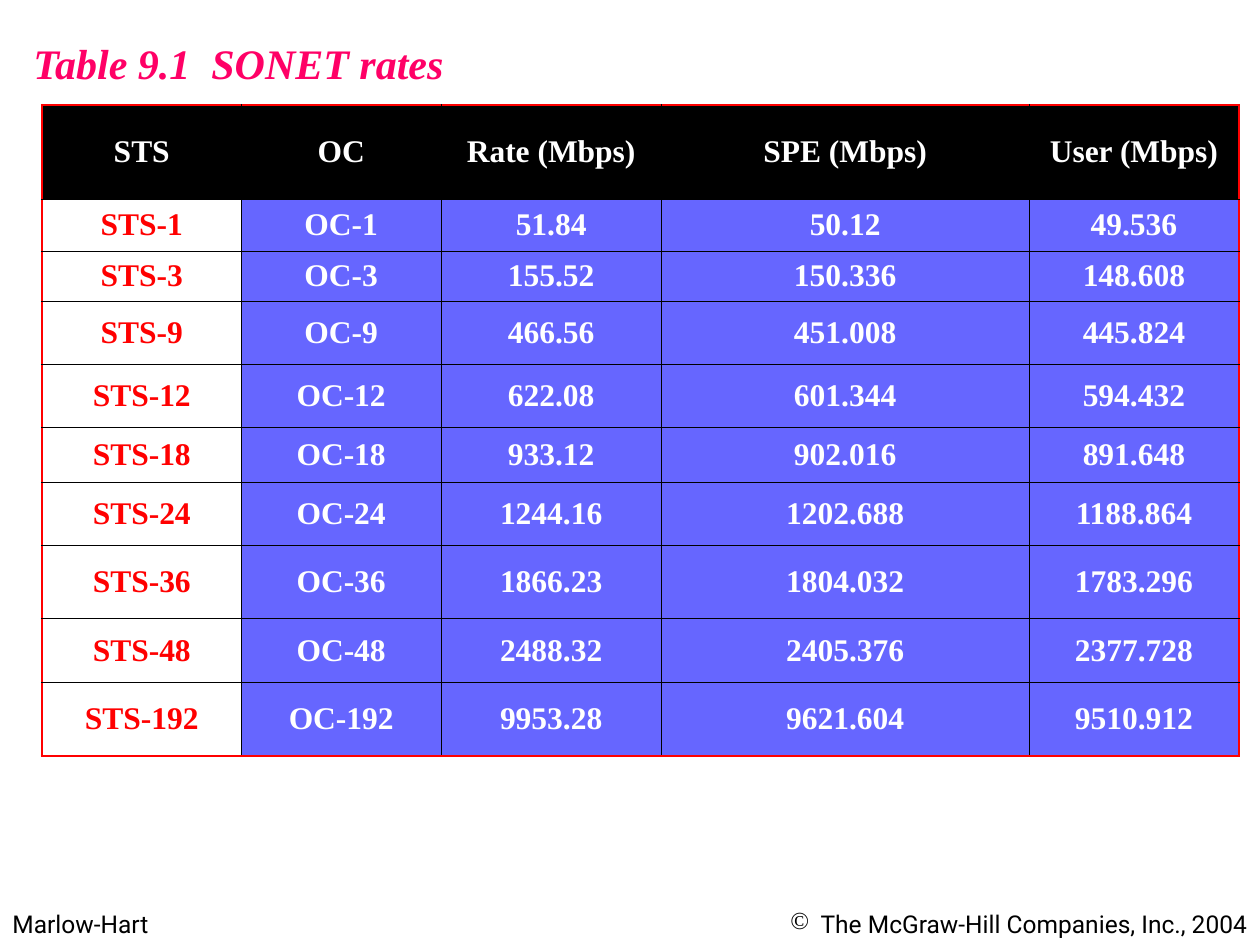
import dataclasses

import lxml.etree
import pptx
import pptx.dml.color
import pptx.enum.text
import pptx.oxml.ns
import pptx.util

UNIT = pptx.util.Inches(1) / 12  # the page is a grid of 120 columns by 90 rows
PAGE_COLUMNS, PAGE_ROWS = 120, 90
ALIGN = pptx.enum.text.PP_ALIGN


@dataclasses.dataclass(frozen=True)
class Theme:
    serif: str = "Times New Roman"
    sans: str = "Roboto"
    title_size: float = 24
    cell_size: float = 18
    footer_size: float = 14
    title: str = "FF0066"
    ink: str = "000000"
    paper: str = "FFFFFF"
    accent: str = "FF0000"
    body: str = "6666FF"
    frame_width: float = 1.47
    rule_width: float = 0.45


THEME = Theme()

COLUMN_WIDTHS = [19, 19, 21, 35, 20]
ROW_HEIGHTS = [9, 4.9, 4.8, 6, 6, 5.2, 6, 7, 6.1, 7]
HEADINGS = ["STS", "OC", "Rate (Mbps)", "SPE (Mbps)", "User (Mbps)"]
RATES = [
    (1, "51.84", "50.12", "49.536"),
    (3, "155.52", "150.336", "148.608"),
    (9, "466.56", "451.008", "445.824"),
    (12, "622.08", "601.344", "594.432"),
    (18, "933.12", "902.016", "891.648"),
    (24, "1244.16", "1202.688", "1188.864"),
    (36, "1866.23", "1804.032", "1783.296"),
    (48, "2488.32", "2405.376", "2377.728"),
    (192, "9953.28", "9621.604", "9510.912"),
]


def grid(count):
    return pptx.util.Emu(round(count * UNIT))


def rgb(color):
    return pptx.dml.color.RGBColor.from_string(color)


def add_span(para, text, font_name, size, color, bold=None, italic=None):
    span = para.add_run()
    span.text = text
    span.font.name = font_name
    span.font.size = pptx.util.Pt(size)
    span.font.color.rgb = rgb(color)
    span.font.bold = bold
    span.font.italic = italic


def add_text_box(page, box, wrap=True):
    """Add an empty text box and return its first paragraph."""
    frame = page.shapes.add_textbox(*map(grid, box)).text_frame
    frame.word_wrap = wrap
    return frame.paragraphs[0]


def set_bullet(para, mark, indent):
    properties = para._p.get_or_add_pPr()
    properties.set("marL", str(grid(indent)))
    properties.set("indent", str(-grid(indent)))
    bullet = lxml.etree.SubElement(properties, pptx.oxml.ns.qn("a:buChar"))
    bullet.set("char", mark)


def set_border(cell, side, color, width):
    """Draw one cell edge; side is L, R, T or B, called in that order."""
    properties = cell._tc.get_or_add_tcPr()
    line = lxml.etree.SubElement(properties, pptx.oxml.ns.qn(f"a:ln{side}"))
    line.set("w", str(pptx.util.Pt(width)))
    fill = lxml.etree.SubElement(line, pptx.oxml.ns.qn("a:solidFill"))
    lxml.etree.SubElement(fill, pptx.oxml.ns.qn("a:srgbClr")).set("val", color)


def cell_colors(row, column):
    """Return the fill and text colours of a cell."""
    if row == 0:
        return THEME.ink, THEME.paper
    if column == 0:
        return THEME.paper, THEME.accent
    return THEME.body, THEME.paper


def add_title(page, box):
    para = add_text_box(page, box, wrap=False)
    add_span(para, "Table 9.1  SONET rates", THEME.serif, THEME.title_size,
             THEME.title, bold=True, italic=True)


def add_rate_table(page, box):
    rows = [HEADINGS] + [[f"STS-{level}", f"OC-{level}", *speeds]
                         for level, *speeds in RATES]
    table = page.shapes.add_table(len(rows), len(HEADINGS), *map(grid, box)).table
    table.first_row = table.horz_banding = False
    for column, share in zip(table.columns, COLUMN_WIDTHS):
        column.width = grid(box[2] * share / sum(COLUMN_WIDTHS))
    for row, share in zip(table.rows, ROW_HEIGHTS):
        row.height = grid(box[3] * share / sum(ROW_HEIGHTS))

    for row, texts in enumerate(rows):
        for column, text in enumerate(texts):
            cell = table.cell(row, column)
            on_frame = {"L": column == 0, "R": column == len(texts) - 1,
                        "T": row == 0, "B": row == len(rows) - 1}
            for side, outer in on_frame.items():
                set_border(cell, side, THEME.accent if outer else THEME.ink,
                           THEME.frame_width if outer else THEME.rule_width)
            fill_color, text_color = cell_colors(row, column)
            cell.fill.solid()
            cell.fill.fore_color.rgb = rgb(fill_color)
            cell.vertical_anchor = pptx.enum.text.MSO_ANCHOR.MIDDLE
            para = cell.text_frame.paragraphs[0]
            para.alignment = ALIGN.CENTER
            add_span(para, text, THEME.serif, THEME.cell_size, text_color, bold=True)


def add_footer(page, box):
    left, top, width, height = box
    publisher = add_text_box(page, (left, top, 29, height))
    add_span(publisher, "Marlow-Hart", THEME.sans, THEME.footer_size, THEME.ink)

    rights = add_text_box(page, (left + width / 2, top, width / 2, height))
    set_bullet(rights, "©", 2.9)
    rights.alignment = ALIGN.RIGHT
    add_span(rights, "The McGraw-Hill Companies, Inc., 2004",
             THEME.sans, THEME.footer_size, THEME.ink)


def main():
    deck = pptx.Presentation()
    deck.slide_width, deck.slide_height = grid(PAGE_COLUMNS), grid(PAGE_ROWS)
    page = deck.slides.add_slide(deck.slide_layouts[6])
    page.background.fill.solid()
    page.background.fill.fore_color.rgb = rgb(THEME.paper)
    add_footer(page, (0, 86, PAGE_COLUMNS, 4))
    add_title(page, (2, 3, 41.8, 6))
    add_rate_table(page, (4, 10, 114, 62))
    deck.save("out.pptx")


if __name__ == "__main__":
    main()
